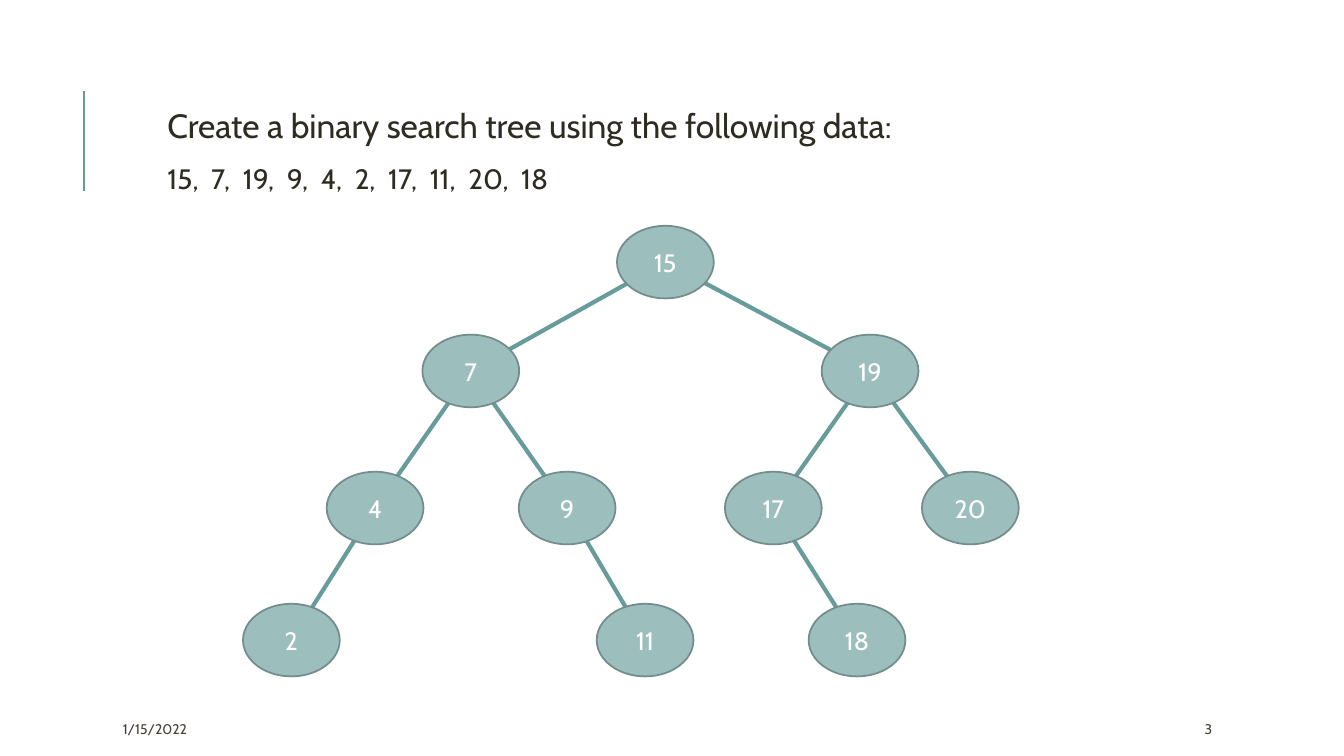
from lxml import etree
from pptx import Presentation
from pptx.dml.color import RGBColor
from pptx.enum.shapes import MSO_CONNECTOR, MSO_SHAPE
from pptx.enum.text import MSO_ANCHOR, PP_ALIGN
from pptx.oxml.ns import qn
from pptx.util import Inches, Pt

OVAL = MSO_SHAPE.OVAL
STRAIGHT = MSO_CONNECTOR.STRAIGHT
TOP, MIDDLE = MSO_ANCHOR.TOP, MSO_ANCHOR.MIDDLE
CENTER, LEFT = PP_ALIGN.CENTER, PP_ALIGN.LEFT

WIDE, HIGH = Inches(13.33), Inches(7.5)
FONT = "Cabin"
TEAL, PALE, EDGE = "689C9A", "9CBEBD", "738D8C"
DARK, GREY, WHITE = "2E2B21", "474233", "FFFFFF"

DATA = [15, 7, 19, 9, 4, 2, 17, 11, 20, 18]
LEVELS = [34.67, 49.07, 67.2, 84.67]
COLUMNS = {15: 49.51, 7: 35.03, 19: 64.74, 4: 27.91, 9: 42.2,
           17: 57.54, 20: 72.2, 2: 21.68, 11: 48, 18: 63.77}
NODE_W, NODE_H = 7.2, 9.6


def across(share):
    """Turn a percentage of the slide's width into a length."""
    return round(WIDE * share / 100)


def down(share):
    """Turn a percentage of the slide's height into a length."""
    return round(HIGH * share / 100)


def color(code):
    """Turn a hex string into a colour."""
    return RGBColor.from_string(code)


def box(x, y, w, h):
    """Give a box in lengths from percentages of the slide."""
    return across(x), down(y), across(w), down(h)


def write(par, text, size, code, align=LEFT):
    """Write one paragraph in the slide's font."""
    par.text = text
    par.alignment = align
    par.font.name = FONT
    par.font.size = Pt(size)
    par.font.color.rgb = color(code)


def label(slide, place, lines, code, anchor=MIDDLE):
    """Add a text box with one paragraph for each (text, size) pair."""
    frame = slide.shapes.add_textbox(*box(*place)).text_frame
    frame.word_wrap = True
    frame.vertical_anchor = anchor
    for i, (text, size) in enumerate(lines):
        par = frame.add_paragraph() if i else frame.paragraphs[0]
        write(par, text, size, code)
    return frame


def line(slide, start, end, width):
    """Draw a straight teal line between two points."""
    (x1, y1), (x2, y2) = start, end
    link = slide.shapes.add_connector(
        STRAIGHT, across(x1), down(y1), across(x2), down(y2))
    link.line.color.rgb = color(TEAL)
    link.line.width = Pt(width)
    etree.SubElement(link._element.spPr, qn("a:effectLst"))


def node(slide, value, point):
    """Draw one tree node centred on a point."""
    x, y = point
    oval = slide.shapes.add_shape(
        OVAL, *box(x - NODE_W / 2, y - NODE_H / 2, NODE_W, NODE_H))
    oval.shadow.inherit = False
    oval.fill.solid()
    oval.fill.fore_color.rgb = color(PALE)
    oval.line.color.rgb = color(EDGE)
    oval.line.width = Pt(1.25)
    oval.text_frame.vertical_anchor = MIDDLE
    write(oval.text_frame.paragraphs[0], str(value), 18, WHITE, CENTER)


def grow(data):
    """Insert the data in order and return each value's parent and depth."""
    root, kids, tree = data[0], {}, {}
    for value in data:
        parent, depth, here = None, 0, root
        while here in tree:
            parent, depth = here, depth + 1
            here = kids.get((parent, value > parent))
        kids[parent, parent is not None and value > parent] = value
        tree[value] = parent, depth
    return tree


def draw(slide):
    """Draw the tree, with its links behind its nodes."""
    tree = grow(DATA)
    points = {v: (COLUMNS[v], LEVELS[depth]) for v, (_, depth) in tree.items()}
    for value, (parent, _) in tree.items():
        if parent is not None:
            line(slide, points[parent], points[value], 3)
    for value, point in points.items():
        node(slide, value, point)


def main():
    """Build the slide and save it."""
    deck = Presentation()
    deck.slide_width, deck.slide_height = WIDE, HIGH
    slide = deck.slides.add_slide(deck.slide_layouts[6])
    line(slide, (6.25, 25.33), (6.25, 12), 1.5)
    task = label(slide, (12.08, 13.87, 75.92, 14.67),
                 [("Create a binary search tree using the following data:", 24),
                  (",  ".join(map(str, DATA)), 20)], DARK, TOP)
    task.margin_left = task.margin_right = Inches(0.05)
    task.margin_top = task.margin_bottom = Inches(0.05)
    for par in task.paragraphs:
        par.line_spacing = 0.9
        par.space_before, par.space_after = Pt(12), Pt(2)
    label(slide, (8.4, 94.4, 17.7, 4), [("1/15/2022", 10)], GREY)
    label(slide, (88.9, 94.4, 7.95, 4), [("3", 10)], GREY)
    draw(slide)
    deck.save("out.pptx")


if __name__ == "__main__":
    main()
